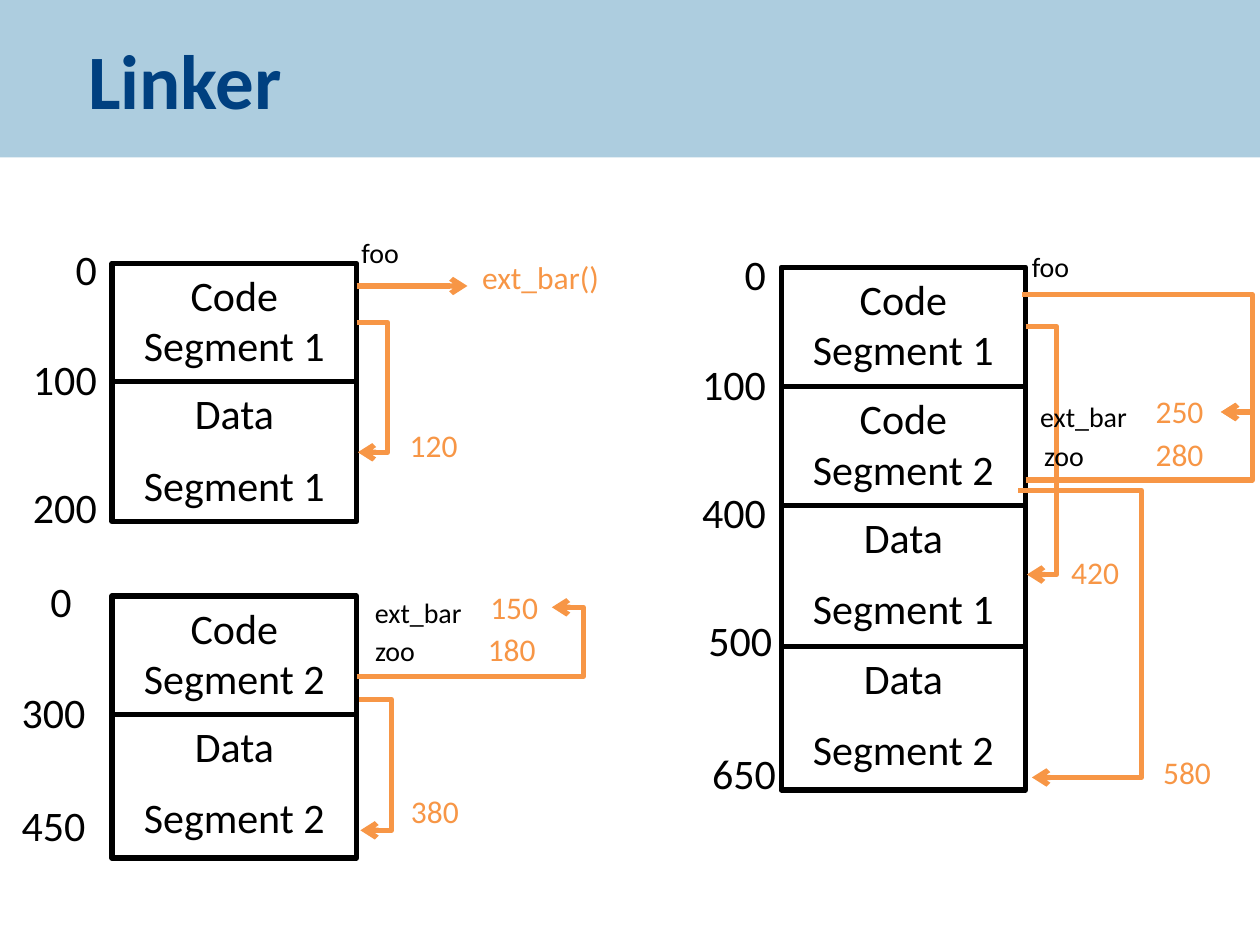
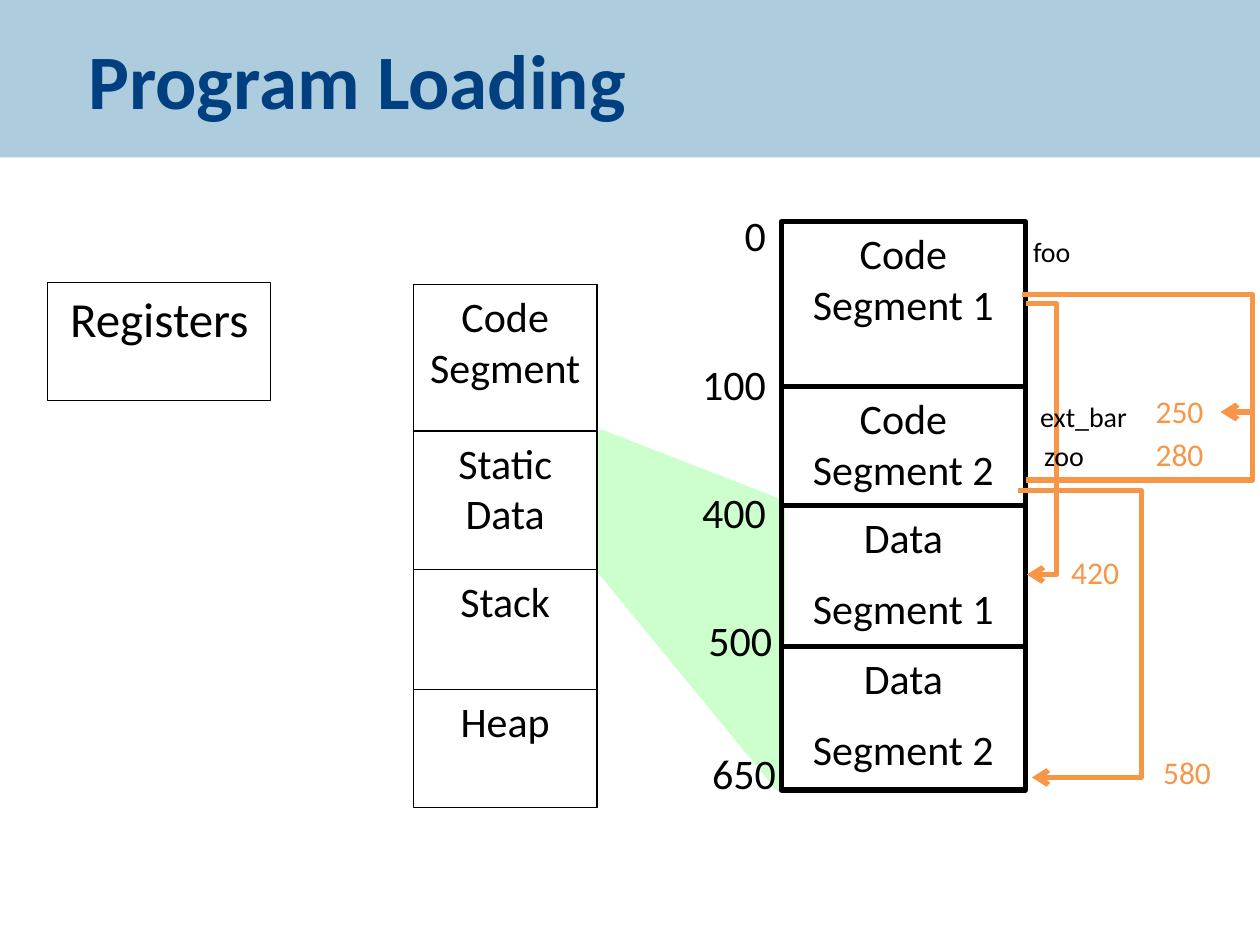
from lxml import etree
from pptx import Presentation
from pptx.dml.color import RGBColor
from pptx.enum import shapes, text
from pptx.oxml.ns import qn
from pptx.util import Inches, Pt

FONT = "Calibri"
BLACK, ORANGE, GREEN = "000000", "F79646", "CCFFCC"
BAND, TITLE = "ADCDDF", "004080"
CENTER, LEFT = text.PP_ALIGN.CENTER, text.PP_ALIGN.LEFT

# Label styles: size, colour, height
ADDRESS = (24, BLACK, 0.5)
TARGET = (18, ORANGE, 0.4)
SYMBOL = (16, BLACK, 0.37)


def rgb(value):
    return RGBColor.from_string(value)


def write(frame, content, size, color, align=CENTER, bold=False):
    frame.text = content
    for number, paragraph in enumerate(frame.paragraphs):
        paragraph.alignment = align
        if number:
            paragraph.space_before = Pt(size / 2)
        for run in paragraph.runs:
            font = run.font
            font.name, font.size, font.bold = FONT, Pt(size), bold
            font.color.rgb = rgb(color)


def add_titled_slide(deck, heading):
    slide = deck.slides.add_slide(deck.slide_layouts[5])
    band = slide.shapes.title
    band.left = band.top = 0
    band.width, band.height = deck.slide_width, Inches(1.25)
    band.fill.solid()
    band.fill.fore_color.rgb = rgb(BAND)
    frame = band.text_frame
    frame.auto_size = text.MSO_AUTO_SIZE.NONE
    frame.vertical_anchor = text.MSO_ANCHOR.MIDDLE
    write(frame, heading, 44, TITLE, LEFT, True)
    indent = frame.paragraphs[0]._p.get_or_add_pPr()
    indent.set("marL", str(Inches(0.6)))
    indent.set("indent", "0")
    return slide


def add_plain_shape(slide, kind, left, top, width, height, line, weight):
    shape = slide.shapes.add_shape(kind, Inches(left), Inches(top),
                                   Inches(width), Inches(height))
    shape.shadow.inherit = False
    shape.fill.background()
    shape.line.color.rgb = rgb(line)
    shape.line.width = Pt(weight)
    return shape


def add_memory(slide, left, top, width, segments, weight=3, size=24):
    """Stack segments (text, height) downwards from top."""
    for content, height in segments:
        box = add_plain_shape(slide, shapes.MSO_SHAPE.RECTANGLE,
                              left, top, width, height, BLACK, weight)
        box.text_frame.word_wrap = True
        box.text_frame.vertical_anchor = text.MSO_ANCHOR.TOP
        write(box.text_frame, content, size, BLACK)
        top += height


def add_label(slide, style, content, left, top, width=None, align=CENTER):
    size, color, height = style
    # Numbers are as wide as their digits plus the insets
    width = width or 0.2 + len(content) * size * 0.0071
    box = slide.shapes.add_textbox(Inches(left), Inches(top),
                                   Inches(width), Inches(height))
    box.text_frame.word_wrap = False
    write(box.text_frame, content, size, color, align)


def add_labels(slide, style, labels):
    for label in labels:
        add_label(slide, style, *label)


def add_reference(slide, x1, y1, x2, y2, bend=None):
    """Arrow from a reference to its target, turning at x = bend."""
    kinds = shapes.MSO_CONNECTOR
    arrow = slide.shapes.add_connector(
        kinds.STRAIGHT if bend is None else kinds.ELBOW,
        Inches(x1), Inches(y1), Inches(x2), Inches(y2))
    arrow.line.color.rgb = rgb(ORANGE)
    arrow.line.width = Pt(3)
    etree.SubElement(arrow.line._get_or_add_ln(), qn("a:tailEnd"), type="arrow")
    properties = arrow._element.spPr
    etree.SubElement(properties, qn("a:effectLst"))
    if bend is not None:
        ratio = round((bend - x1) / (x2 - x1) * 100000)
        guides = properties.find(qn("a:prstGeom")).get_or_add_avLst()
        etree.SubElement(guides, qn("a:gd"), name="adj1", fmla=f"val {ratio}")


def add_references(slide, references):
    for reference in references:
        add_reference(slide, *reference)


def add_linked_program(slide, top, first_height, zero_top, foo, data_ref):
    """Both modules joined in one address space."""
    add_memory(slide, 6.2, top, 1.94, [
        ("Code Segment 1", first_height), ("Code Segment 2", 0.94),
        ("Data\nSegment 1", 1.12), ("Data\nSegment 2", 1.14)])
    add_references(slide, [
        (8.08, 3.89, 8.19, 6.17, 9.06),
        (8.14, data_ref, 8.15, 4.56, 8.39),
        (8.14, 3.81, 9.69, 3.27, 9.94),
        (8.11, 2.34, 9.69, 3.27, 9.94)])
    add_labels(slide, ADDRESS, [
        ("0", 5.81, zero_top), ("100", 5.47, 2.8), ("400", 5.47, 3.81),
        ("500", 5.52, 4.83), ("650", 5.55, 5.88)])
    add_labels(slide, TARGET, [
        ("250", 9.07, 3.06), ("280", 9.07, 3.4),
        ("420", 8.4, 4.34), ("580", 9.13, 5.93)])
    add_labels(slide, SYMBOL, [
        ("foo ", *foo, 0.51, LEFT), ("ext_bar", 8.15, 3.12, 0.9),
        ("zoo", 8.18, 3.43, 0.53)])


def build_linker(deck):
    slide = add_titled_slide(deck, "Linker")
    # Separate modules
    for number, top, data_height in ((1, 2.09, 1.11), (2, 4.73, 1.14)):
        add_memory(slide, 0.89, top, 1.94, [
            (f"Code Segment {number}", 0.94),
            (f"Data\nSegment {number}", data_height)])
    add_references(slide, [
        (2.83, 2.27, 3.71, 2.27),
        (2.83, 2.56, 2.84, 3.59, 3.08),
        (2.83, 5.37, 4.38, 4.82, 4.63),
        (2.85, 5.55, 2.86, 6.59, 3.11)])
    add_labels(slide, ADDRESS, [
        ("0", 0.5, 1.88), ("100", 0.16, 2.76), ("200", 0.16, 3.77),
        ("0", 0.3, 4.52), ("300", 0.07, 5.4), ("450", 0.07, 6.3)])
    add_labels(slide, TARGET, [
        ("ext_bar()", 3.72, 2, 1.14), ("120", 3.15, 3.33),
        ("150", 3.79, 4.62), ("180", 3.77, 4.95), ("380", 3.16, 6.24)])
    add_labels(slide, SYMBOL, [
        ("foo ", 2.77, 1.82, 0.51, LEFT), ("ext_bar", 2.87, 4.68, 0.9),
        ("zoo", 2.87, 4.98, 0.53)])
    # Linked result
    add_linked_program(slide, 2.12, 0.95, 1.92, (8.09, 1.93), 2.59)


def build_loading(deck):
    slide = add_titled_slide(deck, "Program Loading")
    # Data segments mapped to static data
    kinds = shapes.MSO_SHAPE
    for kind, place, turn, skew in (
            (kinds.PARALLELOGRAM, (4.66, 3.54, 1.66, 1.44), 90, 0.388),
            (kinds.RIGHT_TRIANGLE, (4.75, 4.52, 1.43, 1.74), 180, None)):
        mapping = add_plain_shape(slide, kind, *place, GREEN, 3)
        mapping.fill.solid()
        mapping.fill.fore_color.rgb = rgb(GREEN)
        mapping.rotation = turn
        if skew:
            mapping.adjustments[0] = skew
    add_linked_program(slide, 1.76, 1.31, 1.61, (8.1, 1.81), 2.41)
    # Machine state and process memory
    add_memory(slide, 0.38, 2.24, 1.77, [("Registers", 0.94)], 0.75, 28)
    add_memory(slide, 3.28, 2.26, 1.46, [
        ("Code Segment", 1.16), ("Static Data", 1.1),
        ("Stack", 0.95), ("Heap", 0.94)], 0.75)


def main():
    deck = Presentation()
    deck.slide_width, deck.slide_height = Inches(10), Inches(7.5)
    build_linker(deck)
    build_loading(deck)
    deck.save("out.pptx")


main()
